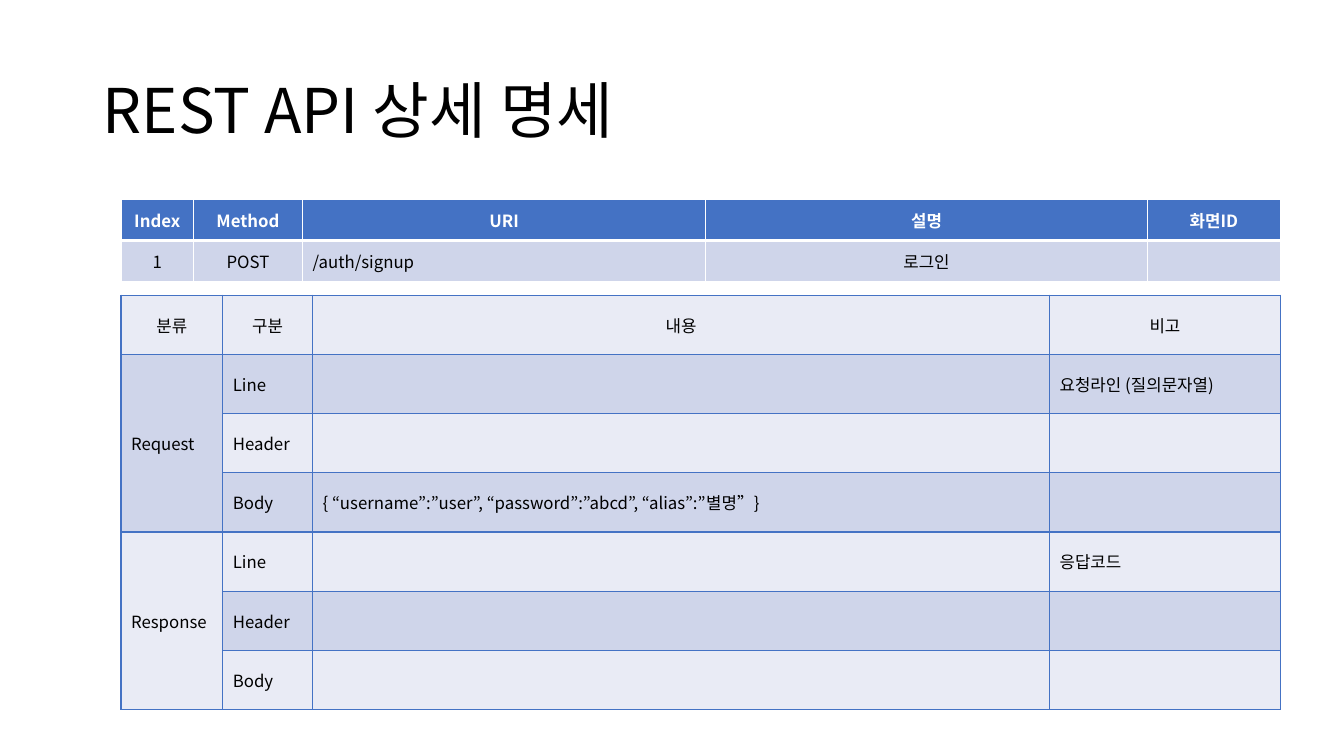
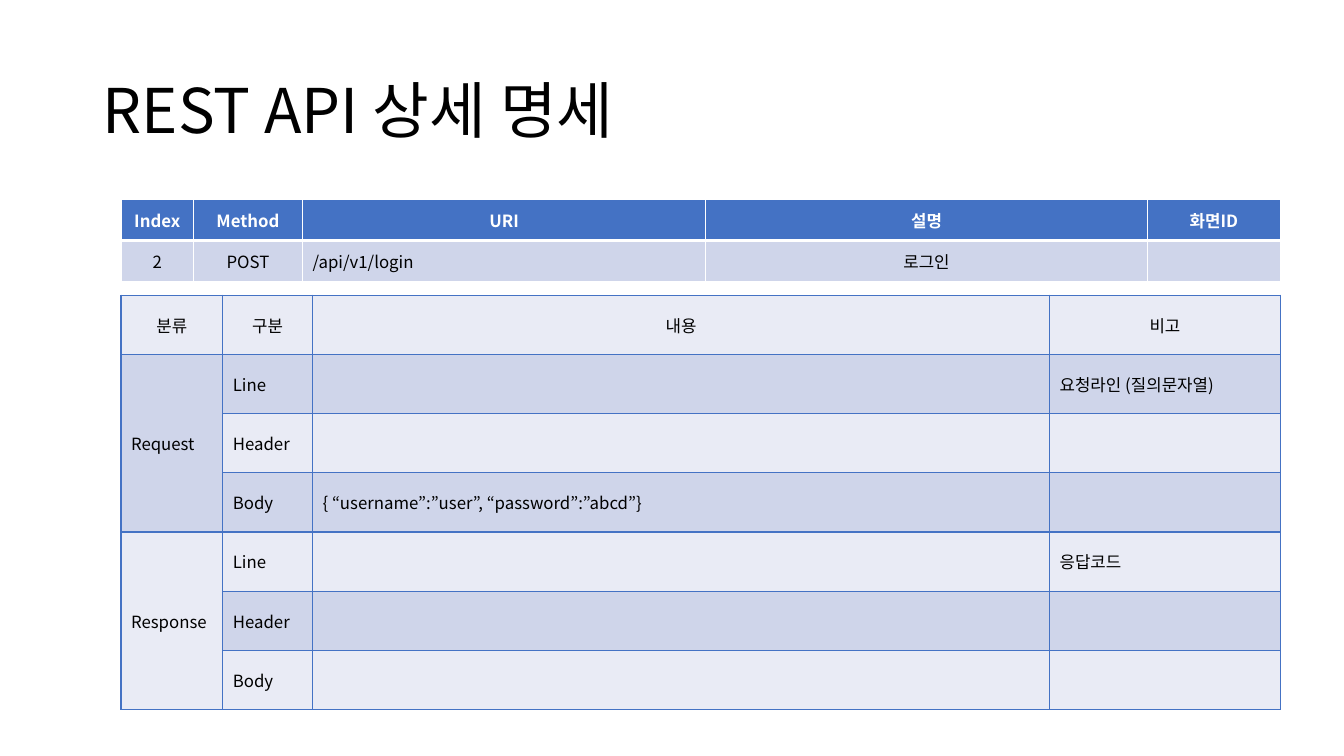
from lxml.etree import SubElement
from pptx import Presentation
from pptx.dml.color import RGBColor
from pptx.enum.text import MSO_ANCHOR, MSO_AUTO_SIZE, PP_ALIGN
from pptx.oxml.ns import qn
from pptx.util import Inches, Pt

FONT = "Noto Sans CJK KR"
BLACK, WHITE, BLUE = "000000", "FFFFFF", "4472C4"
BAND_DARK, BAND_LIGHT = "CFD5EA", "E9EBF5"
LEFT, WIDTH = 1.2, 11.5

TITLE = "REST API 상세 명세"
API_HEAD = ["Index", "Method", "URI", "설명", "화면ID"]
API_COLS = [0.72, 1.08, 4, 4.38, 1.32]
DETAIL_HEAD = ["분류", "구분", "내용", "비고"]
DETAIL_COLS = [1.01, 0.89, 7.31, 2.29]

# What differs from slide to slide: index, URI, request body
APIS = [
    ("1", "/auth/signup", "{ “username”:”user”, “password”:”abcd”, “alias”:”별명”}"),
    ("2", "/api/v1/login", "{ “username”:”user”, “password”:”abcd”}"),
]


def style_text(p, size, color, bold=False, align=PP_ALIGN.LEFT):
    p.alignment = align
    for r in p.runs:
        r.font.size, r.font.bold, r.font.name = Pt(size), bold, FONT
        r.font.color.rgb = RGBColor.from_string(color)
        SubElement(r.font._element, qn("a:ea"), typeface=FONT)
    if not p.runs:
        # An empty cell keeps the small size, so its row does not grow
        SubElement(p._p, qn("a:endParaRPr"), sz=str(size * 100))


def add_grid(slide, top, height, cols, rows, look):
    """Draw a table; look(row, col) gives fill, text colour, bold, centred, line, bottom width."""
    table = slide.shapes.add_table(len(rows), len(cols), Inches(LEFT), Inches(top),
                                   Inches(WIDTH), Inches(height)).table
    for column, width in zip(table.columns, cols):
        column.width = Inches(width)
    for i, row in enumerate(rows):
        for j, text in enumerate(row):
            fill, color, bold, centred, line, bottom = look(i, j)
            cell = table.cell(i, j)
            cell.text_frame.text = text
            cell.vertical_anchor = MSO_ANCHOR.MIDDLE
            style_text(cell.text_frame.paragraphs[0], 12, color, bold,
                       PP_ALIGN.CENTER if centred else PP_ALIGN.LEFT)
            # Borders come before the fill in the cell properties
            for side, width in zip("LRTB", (1, 1, 1, bottom)):
                ln = SubElement(cell._tc.get_or_add_tcPr(), qn(f"a:ln{side}"), w=str(Pt(width)))
                SubElement(SubElement(ln, qn("a:solidFill")), qn("a:srgbClr"), val=line)
            cell.fill.solid()
            cell.fill.fore_color.rgb = RGBColor.from_string(fill)
    return table


prs = Presentation()
prs.slide_width, prs.slide_height = Inches(13.33), Inches(7.5)

for index, uri, body in APIS:
    slide = prs.slides.add_slide(prs.slide_layouts[5])

    # Title
    title = slide.shapes.title
    title.left, title.top = Inches(0.92), Inches(0.4)
    title.width, title.height = Inches(11.5), Inches(1.45)
    tf = title.text_frame
    tf.text = TITLE
    tf.word_wrap = True
    tf.auto_size = MSO_AUTO_SIZE.NONE
    tf.vertical_anchor = MSO_ANCHOR.MIDDLE
    tf.paragraphs[0].line_spacing = 0.9
    style_text(tf.paragraphs[0], 44, BLACK)

    # API summary: blue heading row, URI left-aligned below it
    api_rows = [API_HEAD, [index, "POST", uri, "로그인", ""]]
    add_grid(slide, 1.98, 0.81, API_COLS, api_rows,
             lambda i, j: (BLUE, WHITE, True, True, WHITE, 3) if i == 0
             else (BAND_DARK, BLACK, False, j != 2, WHITE, 1))

    # Request and response details: banded rows, groups of three
    detail_rows = [
        DETAIL_HEAD,
        ["Request", "Line", "", "요청라인 (질의문자열)"],
        ["", "Header", "", ""],
        ["", "Body", body, ""],
        ["Response", "Line", "", "응답코드"],
        ["", "Header", "", ""],
        ["", "Body", "", ""],
    ]
    details = add_grid(slide, 2.93, 4.11, DETAIL_COLS, detail_rows,
                       lambda i, j: (BAND_DARK if i % 2 else BAND_LIGHT,
                                     BLACK, False, i == 0, BLUE, 1))
    for first in (1, 4):
        details.cell(first, 0).merge(details.cell(first + 2, 0))

prs.save("out.pptx")
